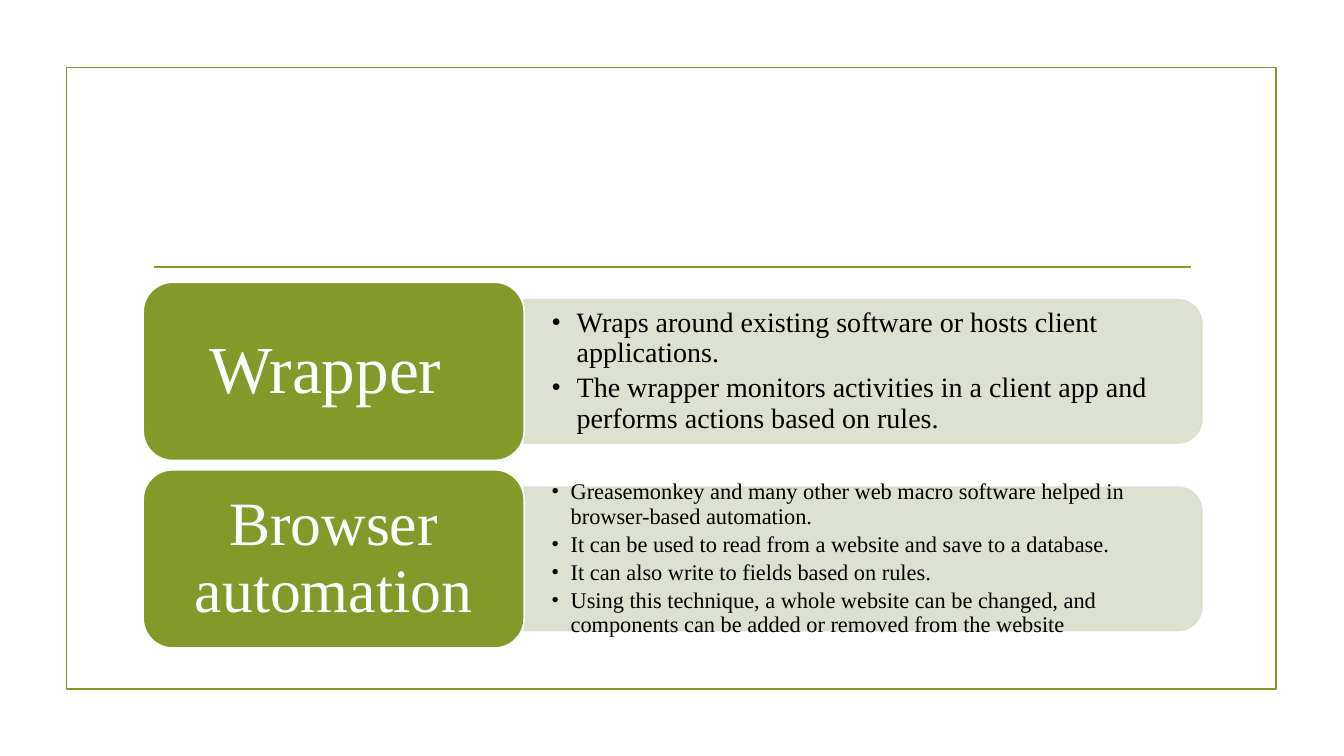
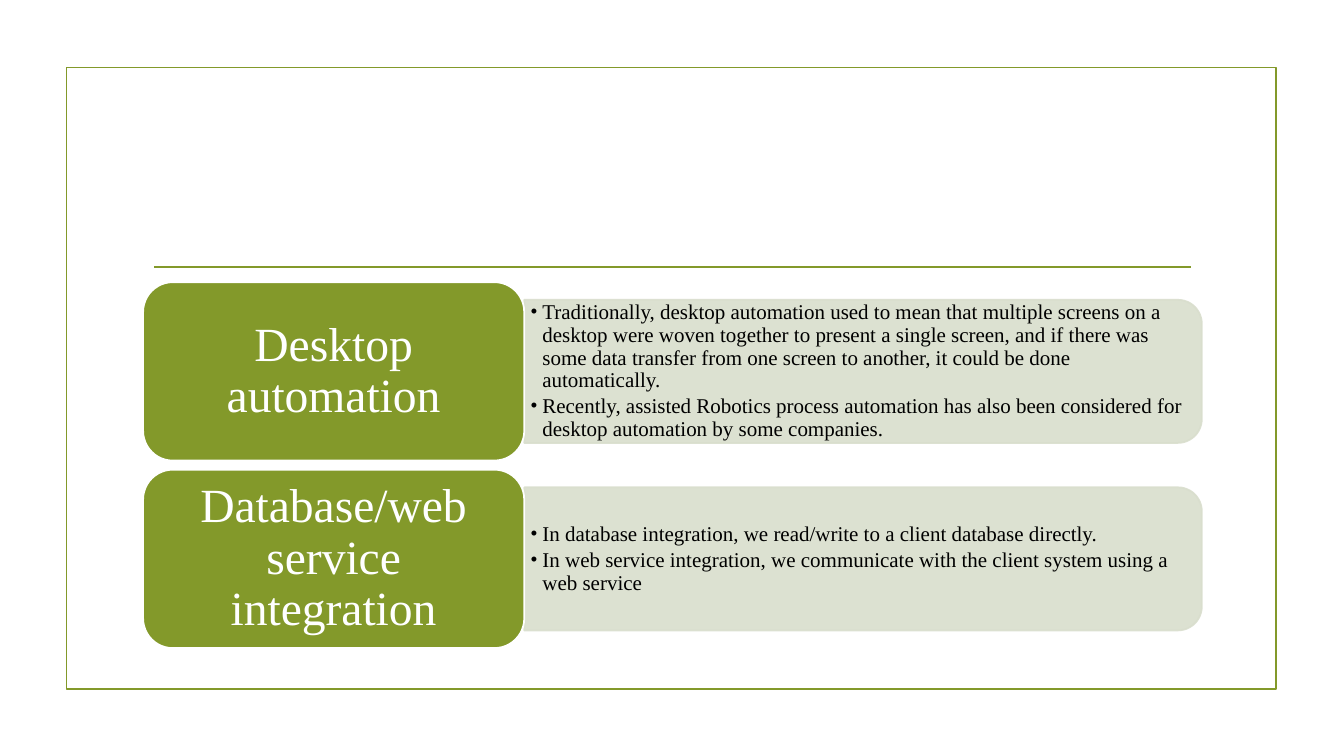
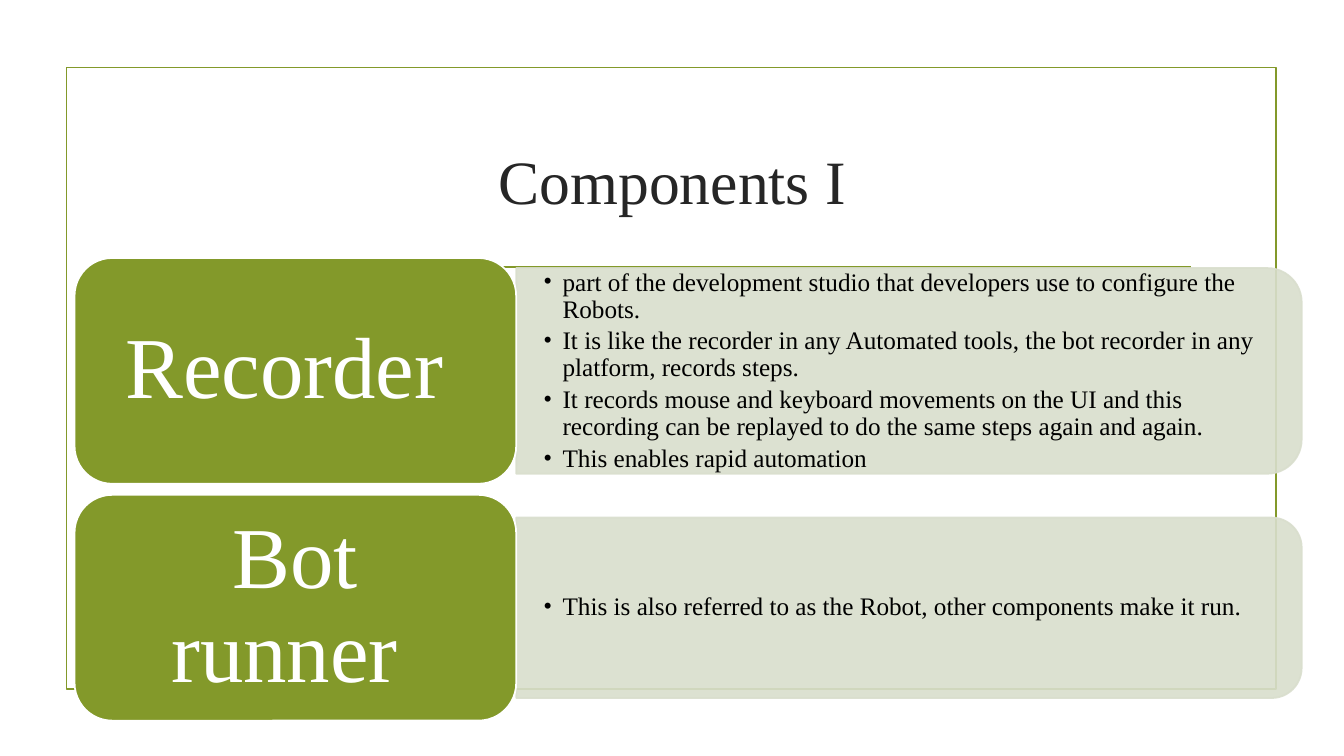
from dataclasses import dataclass

from lxml import etree
from pptx import Presentation
from pptx.dml.color import RGBColor
from pptx.enum.shapes import MSO_CONNECTOR, MSO_SHAPE
from pptx.enum.text import MSO_ANCHOR, PP_ALIGN
from pptx.oxml.ns import qn
from pptx.util import Inches, Pt

RECT = MSO_SHAPE.RECTANGLE
ROUND = MSO_SHAPE.ROUNDED_RECTANGLE
ROUND_TOP = MSO_SHAPE.ROUND_2_SAME_RECTANGLE
STRAIGHT = MSO_CONNECTOR.STRAIGHT
MIDDLE = MSO_ANCHOR.MIDDLE
LEFT, CENTER = PP_ALIGN.LEFT, PP_ALIGN.CENTER


@dataclass(frozen=True)
class Theme:
    width: int = Inches(13.33)
    height: int = Inches(7.5)
    font: str = "Times New Roman"
    green: str = "83992A"
    pale: str = "D9DECD"
    white: str = "FFFFFF"
    black: str = "000000"
    title_color: str = "262626"
    title_size: int = 44
    line: float = 1.25
    panel_alpha: int = 90
    spacing: float = 0.9
    after: float = 0.17


@dataclass(frozen=True)
class Grid:
    left: float
    top: float
    tab_w: float
    tab_h: float
    pitch: float
    panel_w: float


@dataclass(frozen=True)
class Row:
    label: str
    bullets: tuple[str, ...]
    panel_h: float = 18.93


@dataclass(frozen=True)
class Page:
    grid: Grid
    rows: tuple[Row, ...]
    label_sizes: tuple[int, ...]
    bullet_size: int
    indent: float
    inset: float = 0.27
    title: str = ""


T = Theme()
PAIR = Grid(10.65, 37.33, 28.36, 23.6, 24.8, 50.41)
WIDE = Grid(5.55, 34.13, 32.86, 29.87, 31.33, 58.44)

PAGES = (
    Page(PAIR, (
        Row("Wrapper ", (
            "Wraps around existing software or hosts client applications.",
            "The wrapper monitors activities in a client app and performs "
            "actions based on rules.",
        )),
    ), (48,), 20, 0.25),
    Page(PAIR, (
        Row("Desktop automation", (
            "Traditionally, desktop automation used to mean that multiple "
            "screens on a desktop were woven together to present a single "
            "screen, and if there was some data transfer from one screen to "
            "another, it could be done automatically.",
            "Recently, assisted Robotics process automation has also been "
            "considered for desktop automation by some companies.",
        )),
        Row("Database/web service integration", (
            "In database integration, we read/write to a client database "
            "directly.",
            "In web service integration, we communicate with the client "
            "system using a web service",
        )),
    ), (34, 34), 15, 0.12, inset=0.06),
    Page(WIDE, (
        Row("Recorder ", (
            "part of the development studio that developers use to configure "
            "the Robots.",
            "It is like the recorder in any Automated tools, the bot recorder "
            "in any platform, records steps.",
            "It records mouse and keyboard movements on the UI and this "
            "recording can be replayed to do the same steps again and again.",
            "This enables rapid automation",
        ), 27.2),
        Row("Bot runner ", (
            "This is also referred to as the Robot, other components make it "
            "run.",
        ), 23.87),
    ), (62, 62), 18, 0.19, title="Components I"),
)

BROWSER = Row("Browser automation", (
    "Greasemonkey and many other web macro software helped in browser-based "
    "automation.",
    "It can be used to read from a website and save to a database.",
    "It can also write to fields based on rules.",
    "Using this technique, a whole website can be changed, and components can "
    "be added or removed from the website",
))


def x(percent: float) -> int:
    return round(T.width * percent / 100)


def y(percent: float) -> int:
    return round(T.height * percent / 100)


def rgb(color: str) -> RGBColor:
    return RGBColor.from_string(color)


def add_alpha(sp, percent: int) -> None:
    for color in sp._element.spPr.iter(qn("a:srgbClr")):
        etree.SubElement(color, qn("a:alpha")).set("val", str(percent * 1000))


def add_box(s, kind, left: int, top: int, width: int, height: int,
            *, fill: str = "", line: str):
    sp = s.shapes.add_shape(kind, left, top, width, height)
    sp.shadow.inherit = False
    if fill:
        sp.fill.solid()
        sp.fill.fore_color.rgb = rgb(fill)
    else:
        sp.fill.background()
    sp.line.color.rgb = rgb(line)
    sp.line.width = Pt(T.line)
    return sp


def write(sp, *texts: str, size: int, color: str, align=CENTER,
          inset: float = 0.1, spacing: float = 1.0, after: float = 0,
          indent: float = 0) -> None:
    tf = sp.text_frame
    tf.word_wrap = True
    tf.vertical_anchor = MIDDLE
    tf.margin_left = tf.margin_right = Inches(inset)
    tf.margin_top = tf.margin_bottom = Inches(inset / 2)
    for i, text in enumerate(texts):
        p = tf.add_paragraph() if i else tf.paragraphs[0]
        if indent:
            pPr = p._p.get_or_add_pPr()
            pPr.set("marL", str(Inches(indent)))
            pPr.set("indent", str(-Inches(indent)))
            etree.SubElement(pPr, qn("a:buFont")).set("typeface", T.font)
            etree.SubElement(pPr, qn("a:buChar")).set("char", "•")
        p.alignment = align
        p.line_spacing = spacing
        p.space_after = Pt(after)
        r = p.add_run()
        r.text = text
        r.font.name = T.font
        r.font.size = Pt(size)
        r.font.color.rgb = rgb(color)


def draw_frame(s, title: str) -> None:
    add_box(s, RECT, x(4.95), y(8.93), x(90), y(82.27), line=T.green)
    rule = s.shapes.add_connector(STRAIGHT, x(11.48), y(35.33),
                                  x(88.6), y(35.33))
    rule.line.color.rgb = rgb(T.green)
    rule.line.width = Pt(T.line)
    etree.SubElement(rule._element.spPr, qn("a:effectLst"))
    if title:
        sp = s.shapes.add_textbox(x(10.65), y(14.27), x(78.77), y(19.07))
        write(sp, title, size=T.title_size, color=T.title_color)


def draw_row(s, page: Page, row: Row, index: int, label_size: int,
             bullet_size: int, indent: float) -> None:
    g = page.grid
    top = y(g.top + index * g.pitch)
    middle = top + y(g.tab_h) // 2
    left = x(g.left + g.tab_w)
    width, height = x(g.panel_w), y(row.panel_h)

    panel = add_box(s, ROUND_TOP, left + (width - height) // 2,
                    middle - width // 2, height, width,
                    fill=T.pale, line=T.pale)
    panel.rotation = 90
    add_alpha(panel, T.panel_alpha)

    text_h = round(height * 0.9)
    sp = s.shapes.add_textbox(left, middle - text_h // 2,
                              width - round(height * 0.05), text_h)
    write(sp, *row.bullets, size=bullet_size, color=T.black, align=LEFT,
          inset=page.inset, spacing=T.spacing, after=bullet_size * T.after,
          indent=indent)

    tab = add_box(s, ROUND, x(g.left), top, x(g.tab_w), y(g.tab_h),
                  fill=T.green, line=T.white)
    write(tab, row.label, size=label_size, color=T.white,
          inset=label_size / 240, spacing=T.spacing)


def main() -> None:
    prs = Presentation()
    prs.slide_width, prs.slide_height = T.width, T.height
    for page in PAGES:
        s = prs.slides.add_slide(prs.slide_layouts[6])
        draw_frame(s, page.title)
        for i, (row, size) in enumerate(zip(page.rows, page.label_sizes)):
            draw_row(s, page, row, i, size, page.bullet_size, page.indent)
    draw_row(prs.slides[0], PAGES[0], BROWSER, 1, 44, 16, 0.19)
    prs.save("out.pptx")


if __name__ == "__main__":
    main()
